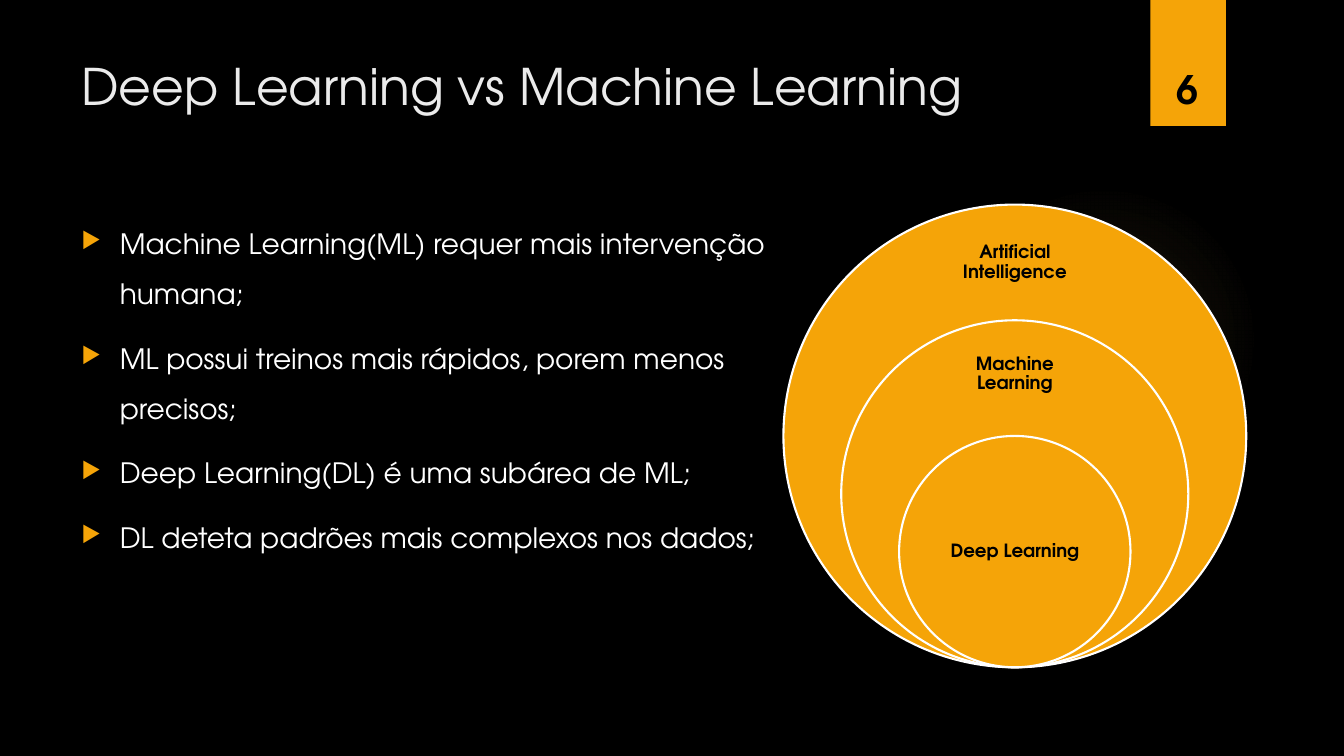
from dataclasses import dataclass

from lxml.etree import SubElement
from pptx import Presentation
from pptx.dml.color import RGBColor
from pptx.enum.shapes import MSO_SHAPE
from pptx.enum.text import MSO_ANCHOR, PP_ALIGN
from pptx.oxml import parse_xml
from pptx.oxml.ns import nsdecls, qn
from pptx.util import Inches, Pt


@dataclass(frozen=True)
class Theme:
    font: str = "TeX Gyre Adventor"
    background: str = "000000"
    accent: str = "F5A408"
    glow: str = "FAC96A"
    title: str = "EBEBEB"
    light: str = "FFFFFF"
    dark: str = "000000"
    title_size: int = 36
    number_size: int = 28
    body_size: int = 20
    label_size: int = 13


THEME = Theme()

BULLETS = [
    "Machine Learning(ML) requer mais intervenção humana;",
    "ML possui treinos mais rápidos, porem menos precisos;",
    "Deep Learning(DL) é uma subárea de ML;",
    "DL deteta padrões mais complexos nos dados;",
]

# Label, circle scale, label offset and height as shares of the circle
RINGS = [
    ("Artificial Intelligence", 1, 0.05, 0.15),
    ("Machine Learning", 0.75, 0.06, 0.19),
    ("Deep Learning", 0.5, 0.25, 0.5),
]


def inches(box):
    return [Inches(v) for v in box]


def add_text(shapes, box, lines, size, color, bold=False,
             anchor=MSO_ANCHOR.TOP, **formats):
    tf = shapes.add_textbox(*inches(box)).text_frame
    tf.word_wrap = True
    tf.vertical_anchor = anchor
    for i, line in enumerate(lines):
        p = tf.paragraphs[0] if i == 0 else tf.add_paragraph()
        for name, value in formats.items():
            setattr(p, name, value)
        r = p.add_run()
        r.text = line
        for name, value in {"name": THEME.font, "size": Pt(size), "bold": bold}.items():
            setattr(r.font, name, value)
        r.font.color.rgb = RGBColor.from_string(color)
    return tf


def add_shape(shapes, kind, box, fill, line=None):
    sp = shapes.add_shape(kind, *inches(box))
    sp.shadow.inherit = False
    sp.fill.solid()
    sp.fill.fore_color.rgb = RGBColor.from_string(fill)
    if line:
        sp.line.color.rgb = RGBColor.from_string(line)
        sp.line.width = Pt(1.5)
    else:
        sp.line.fill.background()
    return sp


def add_glow(s, box):
    """Faint round light fading to nothing at its rim."""
    sp = add_shape(s.shapes, MSO_SHAPE.OVAL, box, THEME.glow)
    stops = "".join(
        f'<a:gs pos="{pos * 1000}"><a:srgbClr val="{THEME.glow}">'
        f'<a:alpha val="{alpha * 1000}"/></a:srgbClr></a:gs>'
        for pos, alpha in [(0, 7), (36, 6), (69, 0), (100, 0)])
    grad = parse_xml(
        f'<a:gradFill {nsdecls("a")}><a:gsLst>{stops}</a:gsLst><a:path path="circle">'
        '<a:fillToRect l="50000" t="50000" r="50000" b="50000"/></a:path></a:gradFill>')
    solid = sp.element.spPr.find(qn("a:solidFill"))
    solid.getparent().replace(solid, grad)


def add_number_tab(s, box, number):
    left, top, width, height = box
    add_shape(s.shapes, MSO_SHAPE.RECTANGLE, box, THEME.accent)
    text_box = (left - 0.09, top + 0.32, width + 0.17, height - 0.41)
    add_text(s.shapes, text_box, [number], THEME.number_size, THEME.dark, True,
             MSO_ANCHOR.BOTTOM, alignment=PP_ALIGN.CENTER)


def add_bullets(s, box, lines):
    tf = add_text(s.shapes, box, lines, THEME.body_size, THEME.light,
                  line_spacing=1.5, space_before=Pt(10))
    indent = Inches(0.38)
    for p in tf.paragraphs:
        pPr = p._p.get_or_add_pPr()
        pPr.set("marL", str(indent))
        pPr.set("indent", str(-indent))
        color = SubElement(pPr, qn("a:buClr"))
        SubElement(color, qn("a:srgbClr"), val=THEME.accent)
        SubElement(pPr, qn("a:buSzPct"), val="80000")
        SubElement(pPr, qn("a:buChar"), char="▶")


def add_nested_circles(s, box, rings):
    """Circles that share a centre line and touch at the bottom."""
    left, top, width, height = box
    center, bottom, label_width = left + width / 2, top + height, 1.6
    group = s.shapes.add_group_shape()
    for label, scale, offset, label_height in rings:
        d = width * scale
        y = bottom - d
        add_shape(group.shapes, MSO_SHAPE.OVAL, (center - d / 2, y, d, d),
                  THEME.accent, THEME.light)
        label_box = (center - label_width / 2, y + offset * d,
                     label_width, label_height * d)
        tf = add_text(group.shapes, label_box, [label], THEME.label_size, THEME.dark,
                      True, MSO_ANCHOR.MIDDLE,
                      alignment=PP_ALIGN.CENTER, line_spacing=0.9)
        for side in ("left", "top", "right", "bottom"):
            setattr(tf, f"margin_{side}", Inches(0.1))


def build_slide(prs):
    s = prs.slides.add_slide(prs.slide_layouts[6])
    s.background.fill.solid()
    s.background.fill.fore_color.rgb = RGBColor.from_string(THEME.background)
    add_glow(s, (9.41, 1.83, 3.08, 3.08))
    add_number_tab(s, (11.41, 0, 0.75, 1.25), "6")
    add_text(s.shapes, (0.71, 0.5, 10.29, 1.53),
             ["Deep Learning vs Machine Learning"], THEME.title_size, THEME.title)
    add_nested_circles(s, (7.77, 2.03, 4.59, 4.59), RINGS)
    add_bullets(s, (0.71, 2.03, 7.41, 4.59), BULLETS)


def main():
    prs = Presentation()
    prs.slide_width, prs.slide_height = Inches(13.33), Inches(7.5)
    build_slide(prs)
    prs.save("out.pptx")


if __name__ == "__main__":
    main()
